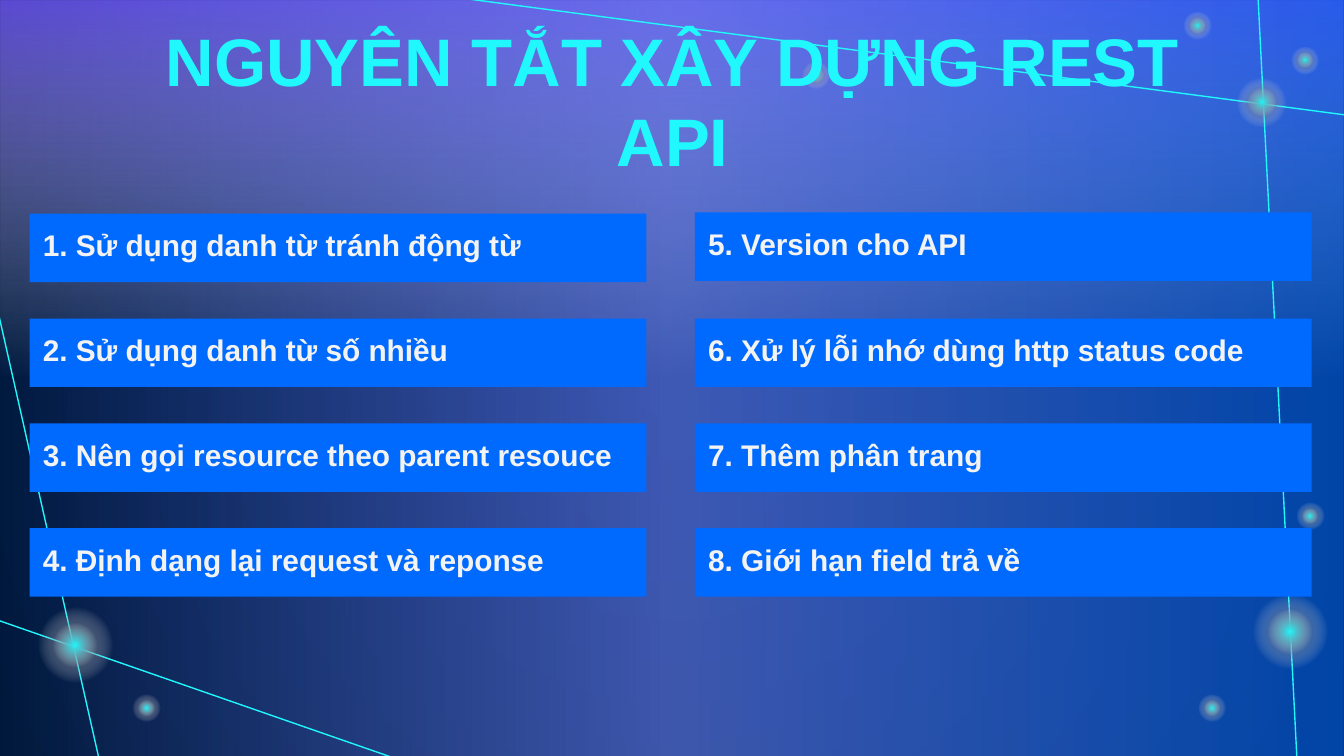
from typing import NamedTuple

from lxml import etree
from pptx import Presentation
from pptx.dml.color import RGBColor
from pptx.enum.shapes import MSO_CONNECTOR, MSO_SHAPE
from pptx.enum.text import MSO_ANCHOR, PP_ALIGN
from pptx.oxml import parse_xml
from pptx.oxml.ns import nsdecls, qn
from pptx.util import Inches, Pt

CYAN = RGBColor(0x20, 0xF8, 0xFD)
BLUE = RGBColor(0x00, 0x6A, 0xFF)
PERIWINKLE = RGBColor(0x74, 0x8B, 0xFF)
VIOLET = RGBColor(0x76, 0x59, 0xFF)
PALE = RGBColor(0xF3, 0xF3, 0xF3)
NAVY = RGBColor(0x00, 0x18, 0x3A)
DEEP_BLUE = RGBColor(0x01, 0x20, 0x60)

WIDTH = 10
HEIGHT = WIDTH * 9 / 16
BAR_WIDTH, BAR_HEIGHT, BAR_PITCH = 4.59, 0.51, 0.78


class Stop(NamedTuple):
    position: int
    color: RGBColor
    alpha: int = 100


class Ray(NamedTuple):
    x1: float
    y1: float
    x2: float
    y2: float


class Star(NamedTuple):
    x: float
    y: float
    halo: float
    core: float


class Column(NamedTuple):
    left: float
    tops: list[float]
    rules: list[str]


WASHES = [
    (270, [Stop(0, PERIWINKLE, 0), Stop(50, PALE, 0), Stop(100, VIOLET, 77)]),
    (0, [Stop(0, PERIWINKLE, 0), Stop(50, PERIWINKLE, 53), Stop(100, BLUE, 54)]),
]
RAYS = [
    Ray(2.96, 5.65, -0.03, 4.61),
    Ray(0.74, 5.66, -0.01, 2.34),
    Ray(9.65, 5.65, 9.36, -0.03),
    Ray(10.12, 0.87, 3.24, -0.04),
]
SMALL, MEDIUM, LARGE = (0.29, 0.17), (0.52, 0.31), (0.79, 0.47)
STARS = [
    Star(0.56, 4.8, *LARGE),
    Star(1.09, 5.27, *SMALL),
    Star(8.91, 0.19, *SMALL),
    Star(9.71, 0.45, *SMALL),
    Star(6.07, 0.56, *SMALL),
    Star(9.02, 5.27, *SMALL),
    Star(9.75, 3.84, *SMALL),
    Star(9.6, 4.7, *LARGE),
    Star(9.39, 0.76, *MEDIUM),
]
ROW_TOPS = [1.59 + BAR_PITCH * row for row in range(4)]
COLUMNS = [
    Column(0.22, ROW_TOPS, [
        "1. Sử dụng danh từ tránh động từ",
        "2. Sử dụng danh từ số nhiều",
        "3. Nên gọi resource theo parent resouce",
        "4. Định dạng lại request và reponse",
    ]),
    Column(5.17, [1.58, *ROW_TOPS[1:]], [
        "5. Version cho API",
        "6. Xử lý lỗi nhớ dùng http status code",
        "7. Thêm phân trang",
        "8. Giới hạn field trả về",
    ]),
]


def apply_gradient(owner, stops: list[Stop], angle: int | None = None) -> None:
    """Fill a shape or background; without an angle the gradient is radial."""
    owner.fill.background()
    element = owner.element if hasattr(owner, "element") else owner._cSld
    stop_xml = "".join(
        f'<a:gs pos="{stop.position * 1000}"><a:srgbClr val="{stop.color}">'
        f'<a:alpha val="{stop.alpha * 1000}"/></a:srgbClr></a:gs>'
        for stop in stops
    )
    if angle is None:
        direction = ('<a:path path="circle"><a:fillToRect l="50000" t="50000" '
                     'r="50000" b="50000"/></a:path>')
    else:
        direction = f'<a:lin ang="{angle * 60000}" scaled="0"/>'
    gradient = parse_xml(
        f'<a:gradFill {nsdecls("a")} rotWithShape="1"><a:gsLst>{stop_xml}</a:gsLst>'
        f"{direction}</a:gradFill>"
    )
    empty_fill = element.find(f".//{qn('a:noFill')}")
    empty_fill.getparent().replace(empty_fill, gradient)


def add_plain(slide, kind: MSO_SHAPE, left: float, top: float, width: float, height: float):
    shape = slide.shapes.add_shape(
        kind, Inches(left), Inches(top), Inches(width), Inches(height))
    shape.shadow.inherit = False
    shape.line.fill.background()
    return shape


def add_ray(slide, ray: Ray) -> None:
    line = slide.shapes.add_connector(MSO_CONNECTOR.STRAIGHT, *map(Inches, ray))
    line.line.color.rgb = CYAN
    line.line.width = Pt(0.75)
    etree.SubElement(line.element.spPr, qn("a:effectLst"))


def add_star(slide, star: Star) -> None:
    """Draw a dim halo with a bright core on the same centre."""
    for size, color in ((star.halo, NAVY), (star.core, CYAN)):
        glow = add_plain(slide, MSO_SHAPE.OVAL,
                         star.x - size / 2, star.y - size / 2, size, size)
        glow.rotation = 180
        apply_gradient(glow, [Stop(0, color), Stop(50, PALE, 0), Stop(100, PALE, 0)])


def write_text(shape, text: str, size: int, color: RGBColor, align: PP_ALIGN) -> None:
    frame = shape.text_frame
    margins = dict.fromkeys(
        ("margin_left", "margin_top", "margin_right", "margin_bottom"), Inches(0.1))
    layout = {**margins, "word_wrap": True, "vertical_anchor": MSO_ANCHOR.TOP}
    for name, value in layout.items():
        setattr(frame, name, value)
    paragraph = frame.paragraphs[0]
    paragraph.alignment = align
    run = paragraph.add_run()
    run.text = text
    for name, value in {"name": "Arial", "size": Pt(size), "bold": True}.items():
        setattr(run.font, name, value)
    run.font.color.rgb = color


def add_rule(slide, left: float, top: float, rule: str) -> None:
    bar = add_plain(slide, MSO_SHAPE.RECTANGLE, left, top, BAR_WIDTH, BAR_HEIGHT)
    bar.fill.solid()
    bar.fill.fore_color.rgb = BLUE
    write_text(bar, rule, 16, PALE, PP_ALIGN.LEFT)
    bar.text_frame.paragraphs[0].space_after = Pt(16)


def main() -> None:
    deck = Presentation()
    deck.slide_width, deck.slide_height = Inches(WIDTH), Inches(HEIGHT)
    slide = deck.slides.add_slide(deck.slide_layouts[6])
    apply_gradient(slide.background, [Stop(0, DEEP_BLUE), Stop(100, NAVY)])
    for angle, stops in WASHES:
        wash = add_plain(slide, MSO_SHAPE.RECTANGLE, 0, 0, WIDTH, HEIGHT)
        apply_gradient(wash, stops, angle)
    for ray in RAYS:
        add_ray(slide, ray)
    for star in STARS:
        add_star(slide, star)

    title = slide.shapes.add_textbox(Inches(0.79), Inches(0.04), Inches(8.43), Inches(0.95))
    write_text(title, "NGUYÊN TẮT XÂY DỰNG REST API", 36, CYAN, PP_ALIGN.CENTER)
    for column in COLUMNS:
        for top, rule in zip(column.tops, column.rules):
            add_rule(slide, column.left, top, rule)
    deck.save("out.pptx")


if __name__ == "__main__":
    main()
